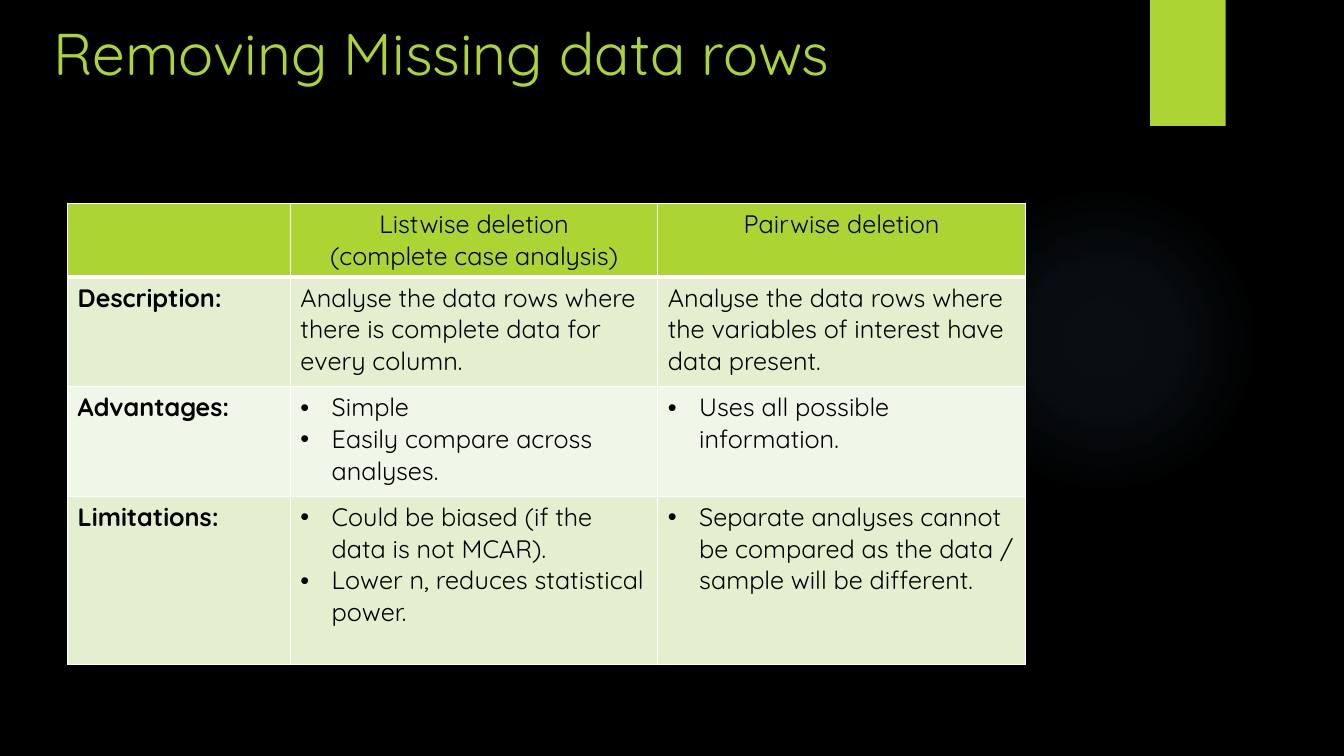
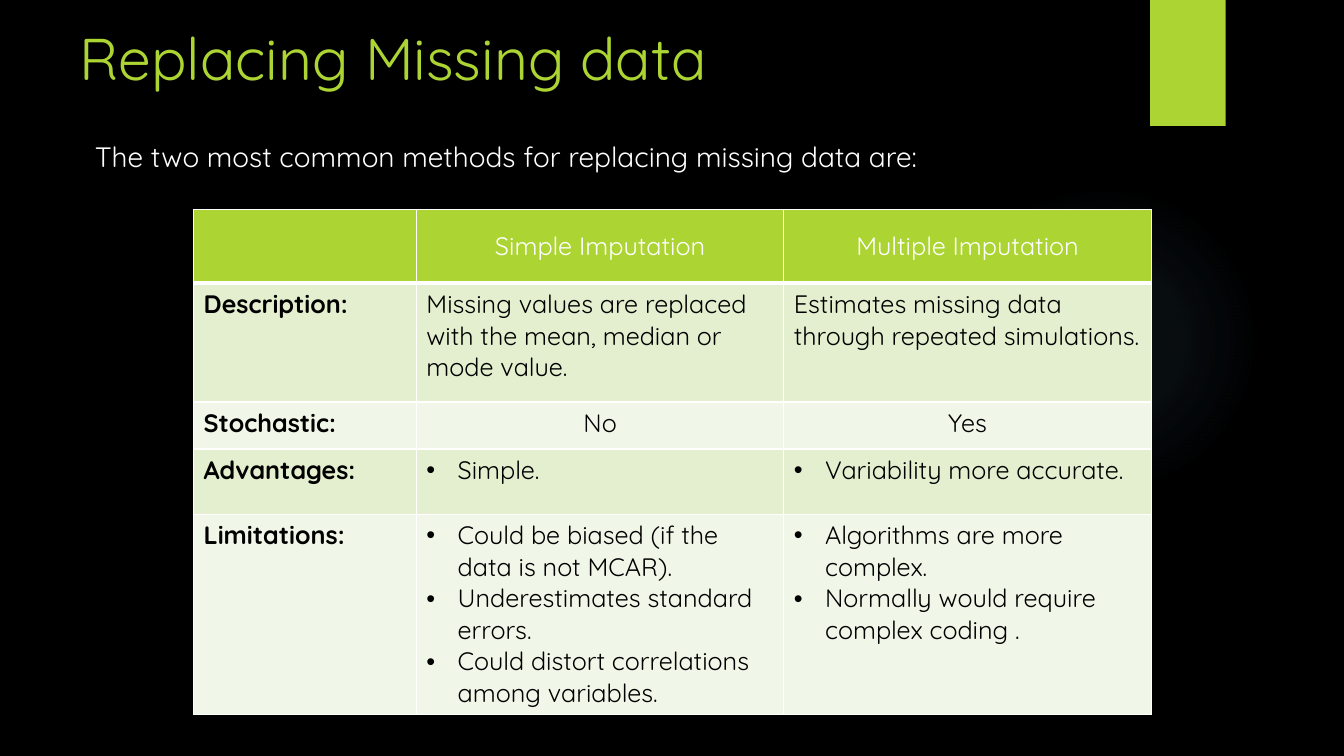
import dataclasses

import lxml.etree
import pptx
import pptx.dml.color
import pptx.enum.shapes
import pptx.enum.text
import pptx.oxml
import pptx.oxml.ns
import pptx.presentation
import pptx.shapes.autoshape
import pptx.slide
import pptx.table
import pptx.text.text
import pptx.util

SLIDE_WIDTH = pptx.util.Inches(13.33)
SLIDE_HEIGHT = pptx.util.Inches(7.5)
ALIGN = pptx.enum.text.PP_ALIGN
ANCHOR = pptx.enum.text.MSO_ANCHOR
SHAPE = pptx.enum.shapes.MSO_SHAPE
qualified = pptx.oxml.ns.qn


@dataclasses.dataclass(frozen=True)
class Theme:
    font: str = "Quicksand"
    background: str = "000000"
    accent: str = "ACD433"
    glow: str = "7AC4F0"
    dark: str = "000000"
    light: str = "FFFFFF"
    bands: tuple[str, str] = ("E3EFCE", "F1F7E8")
    title_size: int = 42
    body_size: int = 20
    table_size: int = 18
    border: int = 1
    header_border: int = 3
    bullet_indent: float = 0.31


THEME = Theme()


def across(percent: float) -> pptx.util.Emu:
    return pptx.util.Emu(round(SLIDE_WIDTH * percent / 100))


def down(percent: float) -> pptx.util.Emu:
    return pptx.util.Emu(round(SLIDE_HEIGHT * percent / 100))


@dataclasses.dataclass(frozen=True)
class Box:
    """A frame in percent of the slide's width and height."""
    left: float
    top: float
    width: float
    height: float

    def lengths(self) -> tuple[pptx.util.Emu, ...]:
        return across(self.left), down(self.top), across(self.width), down(self.height)


@dataclasses.dataclass(frozen=True)
class Cell:
    paragraphs: tuple[str, ...]
    bulleted: bool = False
    centred: bool = False


@dataclasses.dataclass(frozen=True)
class Row:
    height: float
    label: str
    cells: tuple[Cell, Cell]


@dataclasses.dataclass(frozen=True)
class Comparison:
    title: str
    title_box: Box
    table_left: float
    table_top: float
    header_color: str
    header_anchor: ANCHOR
    rows: tuple[Row, ...]
    introduction: str = ""


def text(*paragraphs: str) -> Cell:
    return Cell(paragraphs)


def centred(*paragraphs: str) -> Cell:
    return Cell(paragraphs, centred=True)


def bullets(*paragraphs: str) -> Cell:
    return Cell(paragraphs, bulleted=True)


GLOW_BOX = Box(70.58, 24.4, 23.1, 41.07)
TAB_BOX = Box(85.58, 0, 5.62, 16.67)
INTRODUCTION_BOX = Box(6.3, 17.73, 77.48, 6.67)
COLUMN_WIDTHS = (16.58, 27.34, 27.34)
HEADER_HEIGHT = 9.73
GLOW_STOPS = ((0, 7), (36, 6), (69, 0))

COMPARISONS = (
    Comparison(
        title="Removing Missing data rows",
        title_box=Box(3.23, 1.6, 81.75, 20),
        table_left=5.03,
        table_top=26.93,
        header_color=THEME.dark,
        header_anchor=ANCHOR.TOP,
        rows=(
            Row(HEADER_HEIGHT, "", (
                centred("Listwise deletion", "(complete case analysis)"),
                centred("Pairwise deletion"))),
            Row(14.5, "Description:", (
                text("Analyse the data rows where there is complete data for every column."),
                text("Analyse the data rows where the variables of interest have data present."))),
            Row(14.5, "Advantages:", (
                bullets("Simple", "Easily compare across analyses."),
                bullets("Uses all possible information."))),
            Row(22.2, "Limitations:", (
                bullets("Could be biased (if the data is not MCAR).",
                        "Lower n, reduces statistical power."),
                bullets("Separate analyses cannot be compared as the data / "
                        "sample will be different."))),
        ),
    ),
    Comparison(
        title="Replacing Missing data",
        title_box=Box(5.17, 2.27, 76.05, 20),
        introduction="The two most common methods for replacing missing data are:",
        table_left=14.4,
        table_top=27.73,
        header_color=THEME.light,
        header_anchor=ANCHOR.MIDDLE,
        rows=(
            Row(HEADER_HEIGHT, "", (
                centred("Simple Imputation"), centred("Multiple Imputation"))),
            Row(15.73, "Description:", (
                text("Missing values are replaced with the mean, median or mode value."),
                text("Estimates missing data through repeated simulations."))),
            Row(6.2, "Stochastic:", (centred("No"), centred("Yes"))),
            Row(8.65, "Advantages:", (
                bullets("Simple."), bullets("Variability more accurate."))),
            Row(26.5, "Limitations:", (
                bullets("Could be biased (if the data is not MCAR).",
                        "Underestimates standard errors.",
                        "Could distort correlations among variables."),
                bullets("Algorithms are more complex.",
                        "Normally would require complex coding ."))),
        ),
    ),
)


def rgb(color: str) -> pptx.dml.color.RGBColor:
    return pptx.dml.color.RGBColor.from_string(color)


def set_font(paragraph: pptx.text.text._Paragraph, size: int, color: str,
             bold: bool = False) -> None:
    font = paragraph.font
    font.name = THEME.font
    font.size = pptx.util.Pt(size)
    font.bold = bold
    font.color.rgb = rgb(color)


def set_bullet(paragraph: pptx.text.text._Paragraph, bulleted: bool) -> None:
    """Give the paragraph a hanging bullet, or clear an inherited one."""
    properties = paragraph._p.get_or_add_pPr()
    indent = pptx.util.Inches(THEME.bullet_indent) if bulleted else 0
    properties.set("marL", str(indent))
    properties.set("indent", str(-indent))
    if bulleted:
        lxml.etree.SubElement(properties, qualified("a:buFont"), typeface="Arial")
        lxml.etree.SubElement(properties, qualified("a:buChar"), char="•")
    else:
        lxml.etree.SubElement(properties, qualified("a:buNone"))


def set_glow(shape: pptx.shapes.autoshape.Shape) -> None:
    """Fill the shape with a radial gradient that fades outwards."""
    stops = "".join(
        f'<a:gs pos="{position * 1000}"><a:srgbClr val="{THEME.glow}">'
        f'<a:alpha val="{opacity * 1000}"/></a:srgbClr></a:gs>'
        for position, opacity in GLOW_STOPS)
    gradient = pptx.oxml.parse_xml(
        f'<a:gradFill {pptx.oxml.ns.nsdecls("a")}><a:gsLst>{stops}</a:gsLst>'
        '<a:path path="circle"><a:fillToRect l="50000" t="50000" r="50000" b="50000"/>'
        '</a:path></a:gradFill>')
    shape.element.spPr.find(qualified("a:prstGeom")).addnext(gradient)


def decorate_master(presentation: pptx.presentation.Presentation,
                    slide: pptx.slide.Slide) -> None:
    """Draw the shared decoration on the slide, then move it to the master."""
    master = presentation.slide_master
    master.background.fill.solid()
    master.background.fill.fore_color.rgb = rgb(THEME.background)
    glow = slide.shapes.add_shape(SHAPE.OVAL, *GLOW_BOX.lengths())
    set_glow(glow)
    tab = slide.shapes.add_shape(SHAPE.RECTANGLE, *TAB_BOX.lengths())
    tab.fill.solid()
    tab.fill.fore_color.rgb = rgb(THEME.accent)
    for number, shape in enumerate((glow, tab)):
        shape.line.fill.background()
        shape.shadow.inherit = False
        shape.element.nvSpPr.cNvPr.set("id", str(100 + number))
        master.shapes.element.insert(2 + number, shape.element)


def fill_placeholder(placeholder: pptx.shapes.autoshape.Shape, box: Box, wording: str,
                     size: int, color: str) -> pptx.text.text._Paragraph:
    (placeholder.left, placeholder.top,
     placeholder.width, placeholder.height) = box.lengths()
    frame = placeholder.text_frame
    frame.text = wording
    frame.word_wrap = True
    frame.auto_size = pptx.enum.text.MSO_AUTO_SIZE.NONE
    frame.vertical_anchor = ANCHOR.TOP
    paragraph = frame.paragraphs[0]
    paragraph.alignment = ALIGN.LEFT
    set_bullet(paragraph, False)
    set_font(paragraph, size, color)
    return paragraph


def set_borders(cell: pptx.table._Cell, bottom_width: int) -> None:
    properties = cell._tc.get_or_add_tcPr()
    widths = {"lnL": THEME.border, "lnR": THEME.border,
              "lnT": THEME.border, "lnB": bottom_width}
    for position, (side, width) in enumerate(widths.items()):
        properties.insert(position, pptx.oxml.parse_xml(
            f'<a:{side} {pptx.oxml.ns.nsdecls("a")} w="{pptx.util.Pt(width)}">'
            f'<a:solidFill><a:srgbClr val="{THEME.light}"/></a:solidFill></a:{side}>'))


def fill_cell(cell: pptx.table._Cell, content: Cell, fill: str, color: str,
              bold: bool, bottom_width: int) -> None:
    cell.fill.solid()
    cell.fill.fore_color.rgb = rgb(fill)
    set_borders(cell, bottom_width)
    cell.text_frame.text = "\n".join(content.paragraphs)
    for paragraph in cell.text_frame.paragraphs:
        paragraph.alignment = ALIGN.CENTER if content.centred else ALIGN.LEFT
        if content.bulleted:
            set_bullet(paragraph, True)
        set_font(paragraph, THEME.table_size, color, bold)


def add_comparison_table(slide: pptx.slide.Slide, comparison: Comparison) -> None:
    rows = comparison.rows
    box = Box(comparison.table_left, comparison.table_top,
              sum(COLUMN_WIDTHS), sum(row.height for row in rows))
    table = slide.shapes.add_table(len(rows), len(COLUMN_WIDTHS), *box.lengths()).table
    table.horz_banding = False
    table.first_row = False
    for column, width in zip(table.columns, COLUMN_WIDTHS):
        column.width = across(width)
    for row_number, row in enumerate(rows):
        table.rows[row_number].height = down(row.height)
        is_header = row_number == 0
        fill = THEME.accent if is_header else THEME.bands[(row_number - 1) % 2]
        color = comparison.header_color if is_header else THEME.dark
        bottom_width = THEME.header_border if is_header else THEME.border
        for column_number, content in enumerate((text(row.label), *row.cells)):
            cell = table.cell(row_number, column_number)
            fill_cell(cell, content, fill, color, column_number == 0, bottom_width)
            cell.vertical_anchor = comparison.header_anchor if is_header else ANCHOR.TOP


def add_comparison_slide(presentation: pptx.presentation.Presentation,
                         comparison: Comparison) -> pptx.slide.Slide:
    layout_name = "Title and Content" if comparison.introduction else "Title Only"
    slide = presentation.slides.add_slide(
        presentation.slide_layouts.get_by_name(layout_name))
    fill_placeholder(slide.shapes.title, comparison.title_box, comparison.title,
                     THEME.title_size, THEME.accent)
    if comparison.introduction:
        introduction = fill_placeholder(
            slide.placeholders[1], INTRODUCTION_BOX, comparison.introduction,
            THEME.body_size, THEME.light)
        introduction.space_before = pptx.util.Pt(10)
    add_comparison_table(slide, comparison)
    return slide


def main() -> None:
    presentation = pptx.Presentation()
    presentation.slide_width = SLIDE_WIDTH
    presentation.slide_height = SLIDE_HEIGHT
    slides = [add_comparison_slide(presentation, comparison) for comparison in COMPARISONS]
    decorate_master(presentation, slides[0])
    presentation.save("out.pptx")


if __name__ == "__main__":
    main()
